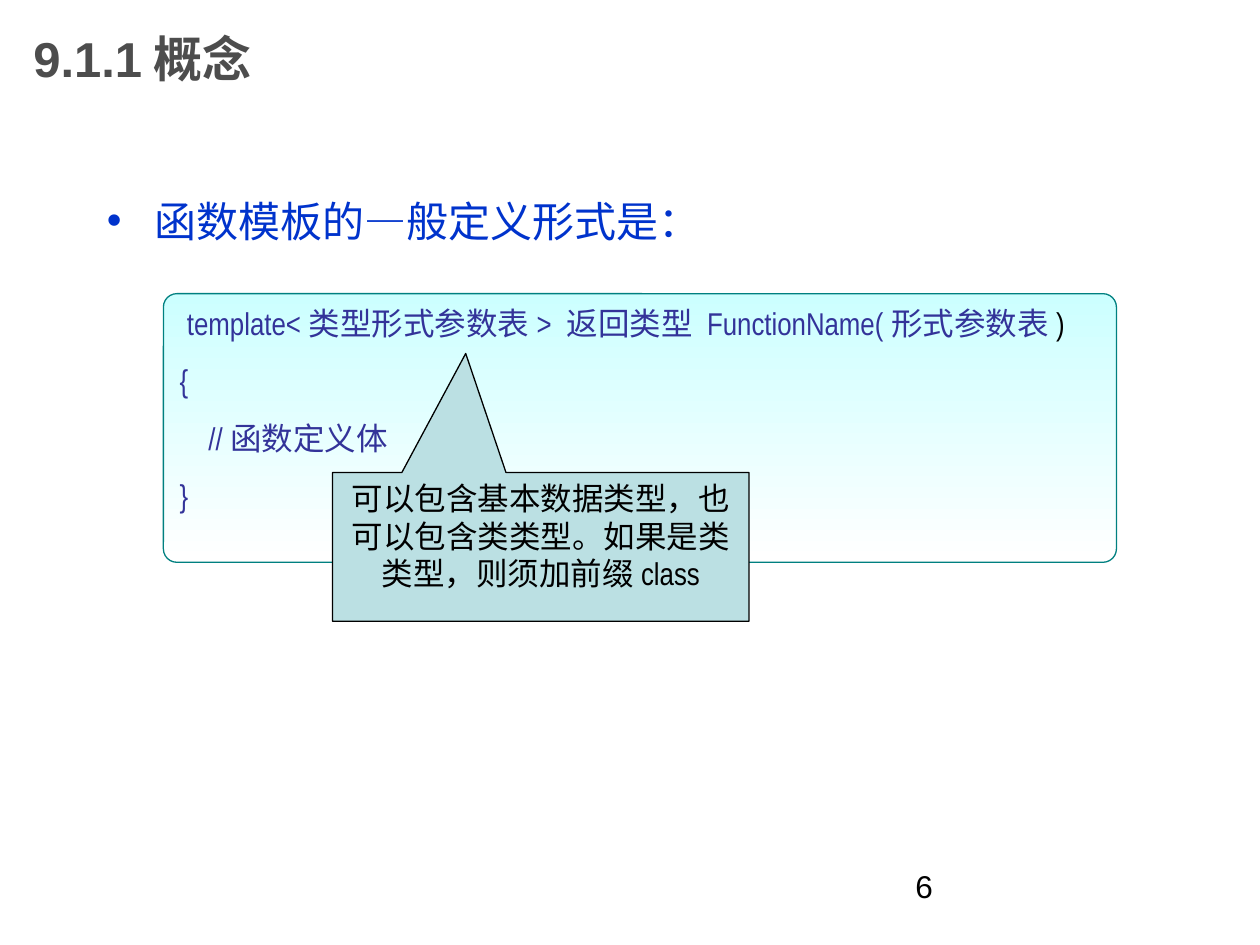
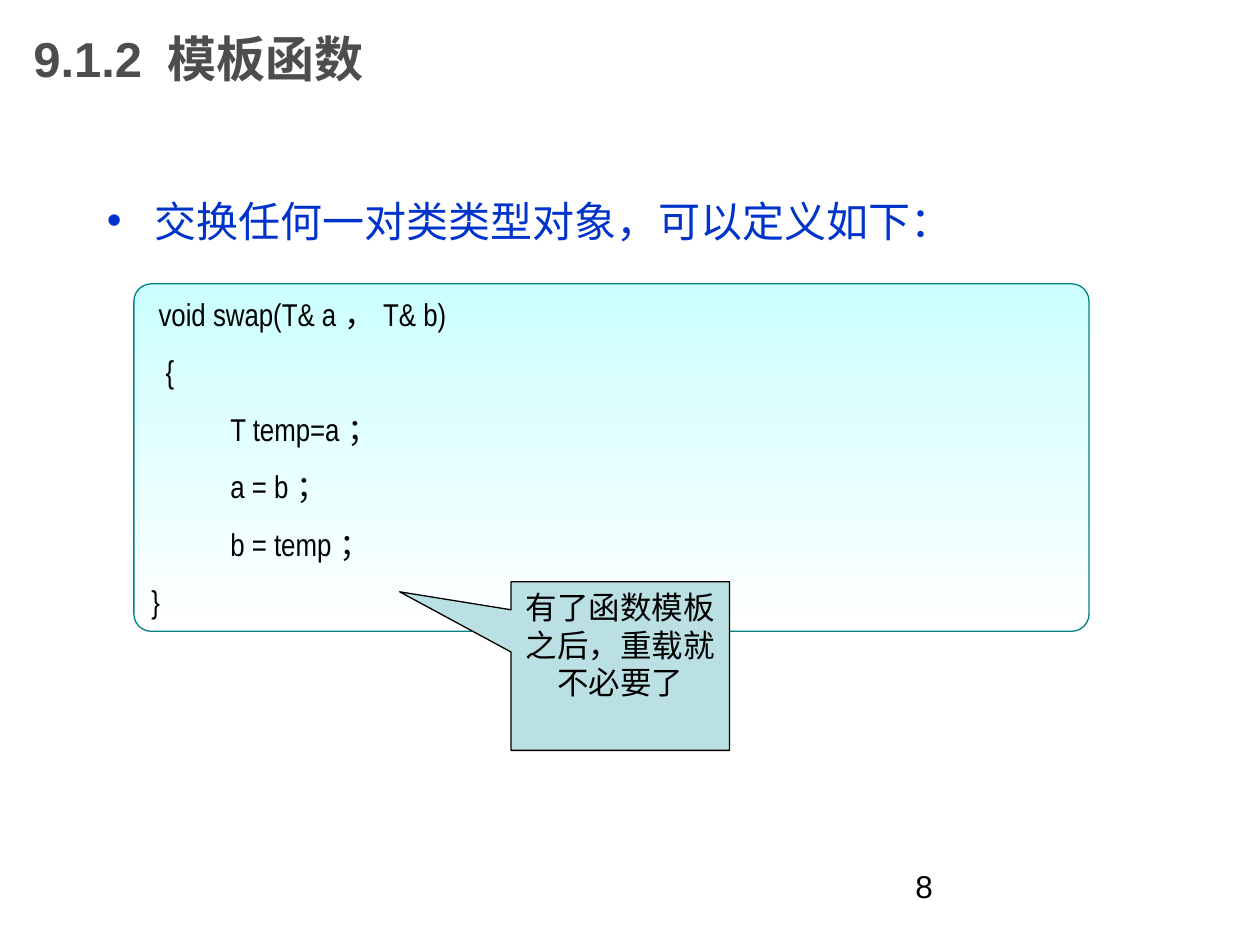
from dataclasses import dataclass

from lxml import etree
from pptx import Presentation
from pptx import util as u
from pptx.dml import color
from pptx.enum import shapes, text
from pptx.oxml import ns

Pt = u.Pt
BLUE, GREY, BLACK, NAVY = "0033CC", "4D4D4D", "000000", "333399"
MINT, WHITE, TEAL, PALE = "CCFFFF", "FFFFFF", "008080", "BBE0E3"
SANS, SLIM = "Arial", "Arial Narrow"
GAP = 11.2


@dataclass
class Box:
    left: float
    top: float
    width: float
    height: float

    def spots(self) -> list:
        return [Pt(n) for n in (self.left, self.top, self.width, self.height)]


@dataclass
class Row:
    words: str
    indent: float = 0
    ink: str = BLACK
    tail: str = ""


@dataclass
class Note:
    box: Box
    words: str
    tip: tuple


@dataclass
class Page:
    title: str
    point: str
    panel: Box
    rows: list
    note: Note
    number: str


TITLE = Box(12, 0, 540, 66)
BODY = Box(54, 108, 612, 372)
NUMBER = Box(516, 492, 168, 37.5)

PAGES = [
    Page(
        "9.1.1概念",
        "函数模板的—般定义形式是：",
        Box(93.4, 167.8, 544.6, 153.5),
        [
            Row("template<类型形式参数表> 返回类型 FunctionName(形式参数表", 4.1, NAVY, ")"),
            Row("{", 0, NAVY),
            Row("//函数定义体", 16.4, NAVY),
            Row("}", 0, NAVY),
        ],
        Note(
            Box(190, 270, 238, 85),
            "可以包含基本数据类型，也可以包含类类型。如果是类类型，则须加前缀class",
            (-0.18, -1.3),
        ),
        "6",
    ),
    Page(
        "9.1.2 模板函数",
        "交换任何一对类类型对象，可以定义如下：",
        Box(76.5, 162.2, 545.8, 198.6),
        [
            Row("void swap(T& a，T& b)", 4.1),
            Row("{", 8.2),
            Row("T temp=a；", 45.1),
            Row("a = b；", 45.1),
            Row("b = temp；", 45.1),
            Row("}"),
        ],
        Note(
            Box(292, 332.4, 124.8, 96.4),
            "有了函数模板之后，重载就不必要了",
            (-1.01, -0.44),
        ),
        "8",
    ),
]


def rgb(code: str) -> color.RGBColor:
    return color.RGBColor.from_string(code)


def style(para, size: float, face: str, ink: str, bold: bool = False) -> None:
    for run in para.runs:
        font = run.font
        font.size, font.name, font.bold = Pt(size), face, bold
        font.color.rgb = rgb(ink)


def label(slide, box: Box, words: str, size: float, ink: str, bold: bool = False):
    frame = slide.shapes.add_textbox(*box.spots()).text_frame
    frame.word_wrap = True
    frame.text = words
    style(frame.paragraphs[0], size, SANS, ink, bold)
    return frame


def bullet(para) -> None:
    para.space_before = Pt(6)
    props = para._p.get_or_add_pPr()
    props.set("marL", str(Pt(27)))
    props.set("indent", str(Pt(-27)))
    tint = etree.SubElement(props, ns.qn("a:buClr"))
    etree.SubElement(tint, ns.qn("a:srgbClr"), val=BLUE)
    etree.SubElement(props, ns.qn("a:buFont"), typeface=SANS)
    etree.SubElement(props, ns.qn("a:buChar"), char="•")


def block(slide, kind, box: Box, line: str):
    shape = slide.shapes.add_shape(kind, *box.spots())
    shape.shadow.inherit = False
    shape.line.color.rgb = rgb(line)
    shape.line.width = Pt(0.75)
    frame = shape.text_frame
    frame.word_wrap = True
    frame.vertical_anchor = text.MSO_ANCHOR.TOP
    return shape


def panel(slide, box: Box, rows: list) -> None:
    shape = block(slide, shapes.MSO_SHAPE.ROUNDED_RECTANGLE, box, TEAL)
    shape.adjustments[0] = 0.05
    shape.fill.gradient()
    shape.fill.gradient_angle = 270
    for stop, tint in zip(shape.fill.gradient_stops, (MINT, WHITE)):
        stop.color.rgb = rgb(tint)
    frame = shape.text_frame
    frame.text = "\n".join(row.words for row in rows)
    for para, row in zip(frame.paragraphs, rows):
        para.alignment = text.PP_ALIGN.LEFT
        para.space_before = Pt(GAP)
        para._p.get_or_add_pPr().set("marL", str(Pt(row.indent)))
        style(para, 18, SLIM, row.ink)
        if row.tail:
            run = para.add_run()
            run.text = row.tail
            run.font.size, run.font.name = Pt(18), SLIM
            run.font.color.rgb = rgb(BLACK)


def callout(slide, note: Note) -> None:
    shape = block(slide, shapes.MSO_SHAPE.RECTANGULAR_CALLOUT, note.box, BLACK)
    for i, value in enumerate(note.tip):
        shape.adjustments[i] = value
    shape.fill.solid()
    shape.fill.fore_color.rgb = rgb(PALE)
    shape.text_frame.text = note.words
    para = shape.text_frame.paragraphs[0]
    para.alignment = text.PP_ALIGN.CENTER
    para.space_before = Pt(GAP)
    style(para, 18, SLIM, BLACK)


def draw(deck, page: Page) -> None:
    slide = deck.slides.add_slide(deck.slide_layouts[6])
    head = label(slide, TITLE, page.title, 28, GREY, True)
    head.vertical_anchor = text.MSO_ANCHOR.MIDDLE
    bullet(label(slide, BODY, page.point, 24, BLUE).paragraphs[0])
    panel(slide, page.panel, page.rows)
    callout(slide, page.note)
    label(slide, NUMBER, page.number, 18, BLACK)


def main() -> None:
    deck = Presentation()
    deck.slide_width, deck.slide_height = Pt(720), Pt(540)
    for page in PAGES:
        draw(deck, page)
    deck.save("out.pptx")


if __name__ == "__main__":
    main()
